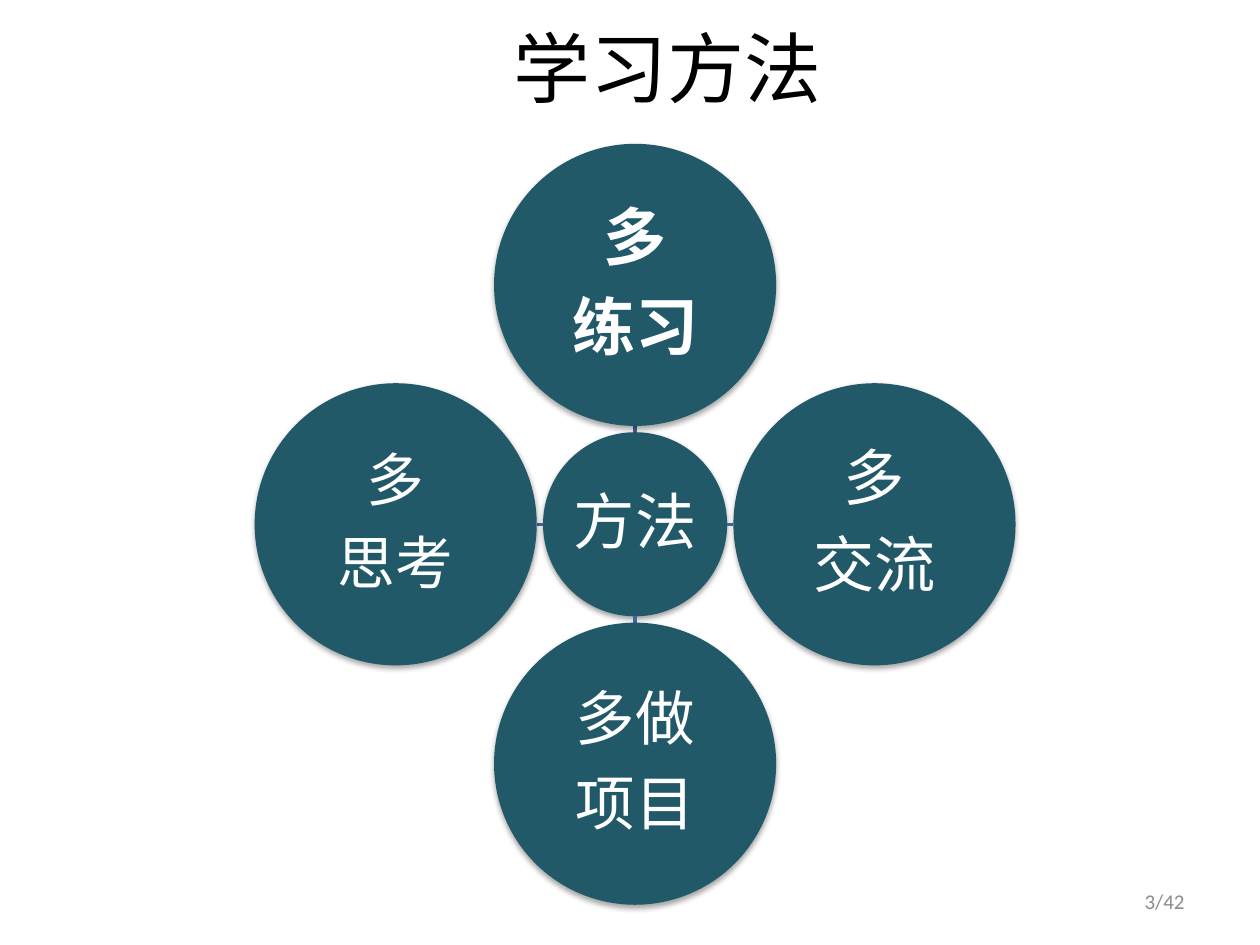
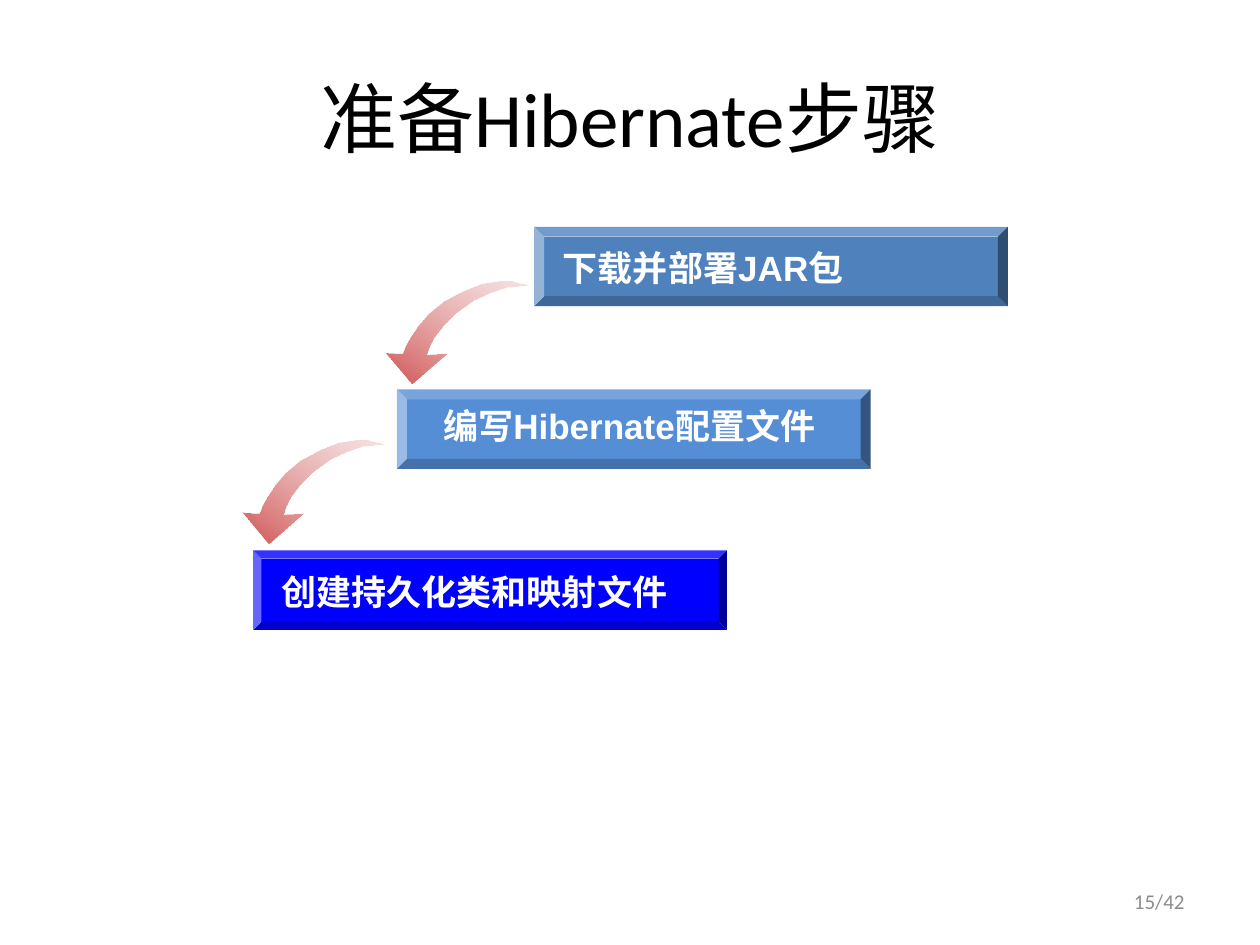
import dataclasses

import pptx
import pptx.dml.color
import pptx.enum.shapes
import pptx.enum.text
import pptx.oxml
import pptx.oxml.ns
import pptx.util

Pt = pptx.util.Pt
SHAPE = pptx.enum.shapes.MSO_SHAPE
ALIGN = pptx.enum.text.PP_ALIGN
ANCHOR = pptx.enum.text.MSO_ANCHOR


@dataclasses.dataclass(frozen=True)
class Theme:
    heading_font: str = "Calibri"
    label_font: str = "Arial"
    black: str = "000000"
    white: str = "FFFFFF"
    grey: str = "8C8C8C"
    teal: str = "215968"
    spoke: str = "3F6797"
    steps: tuple = ("4F81BD", "558ED5", "0000FF")
    arrow_pale: str = "E7A9A9"
    arrow_red: str = "D05656"
    title_size: int = 44
    label_size: int = 20
    footer_size: int = 12
    hub_size: int = 35


def color(code):
    return pptx.dml.color.RGBColor.from_string(code)


def add_xml(parent, tag, content="", attributes=""):
    namespace = pptx.oxml.ns.nsdecls("a")
    parent.append(pptx.oxml.parse_xml(f"<a:{tag} {namespace} {attributes}>{content}</a:{tag}>"))


def write_text(frame, text, *, font, size, ink, bold=False, align=ALIGN.CENTER,
               anchor=ANCHOR.TOP, wrap=True, inset=None, line_spacing=None, after_percent=None):
    frame.word_wrap = wrap
    frame.vertical_anchor = anchor
    if inset is not None:
        frame.margin_left = frame.margin_right = frame.margin_top = frame.margin_bottom = Pt(inset)
    for index, line in enumerate(text.split("\n")):
        para = frame.paragraphs[0] if index == 0 else frame.add_paragraph()
        para.alignment = align
        if line_spacing:
            para.line_spacing = line_spacing
        if after_percent:
            properties = para._p.get_or_add_pPr()
            add_xml(properties, "spcAft", f'<a:spcPct val="{after_percent * 1000}"/>')
        span = para.add_run()
        span.text = line
        span.font.name = font
        span.font.size = Pt(size)
        span.font.bold = bold
        span.font.color.rgb = color(ink)


class Painter:
    """Draws styled elements on the current slide."""

    def __init__(self, theme):
        self.theme = theme
        self.deck = pptx.Presentation()
        self.deck.slide_width, self.deck.slide_height = Pt(720), Pt(540)
        self.page = None

    def new_page(self, number):
        self.page = self.deck.slides.add_slide(self.deck.slide_layouts[6])
        self.text(f"{number}/42", 516, 500.5, 168, 28.8, font=self.theme.heading_font,
                  size=self.theme.footer_size, ink=self.theme.grey,
                  align=ALIGN.RIGHT, anchor=ANCHOR.MIDDLE)

    def text(self, text, left, top, width, height, **style):
        box = self.page.shapes.add_textbox(Pt(left), Pt(top), Pt(width), Pt(height))
        write_text(box.text_frame, text, **style)

    def title(self, text, left, top, height, anchor):
        self.text(text, left, top, 648, height, font=self.theme.heading_font,
                  size=self.theme.title_size, ink=self.theme.black, anchor=anchor)

    def shape(self, kind, left, top, width, height, fill):
        shape = self.page.shapes.add_shape(kind, Pt(left), Pt(top), Pt(width), Pt(height))
        shape.shadow.inherit = False
        shape.fill.solid()
        shape.fill.fore_color.rgb = color(fill)
        shape.line.fill.background()
        return shape

    def circle(self, text, center_x, center_y, radius, size, bold=False):
        circle = self.shape(SHAPE.OVAL, center_x - radius, center_y - radius,
                            2 * radius, 2 * radius, self.theme.teal)
        effects = circle._element.spPr.find(pptx.oxml.ns.qn("a:effectLst"))
        add_xml(effects, "outerShdw", '<a:srgbClr val="000000"><a:alpha val="35000"/></a:srgbClr>',
                f'blurRad="{Pt(3.1)}" dist="{Pt(1.8)}" dir="5400000" rotWithShape="0"')
        write_text(circle.text_frame, text, font=self.theme.heading_font, size=size,
                   ink=self.theme.white, bold=bold, anchor=ANCHOR.MIDDLE, wrap=False,
                   inset=1.5, line_spacing=0.9, after_percent=35)

    def spoke(self, start_x, start_y, end_x, end_y):
        spoke = self.page.shapes.add_connector(
            pptx.enum.shapes.MSO_CONNECTOR.STRAIGHT,
            Pt(start_x), Pt(start_y), Pt(end_x), Pt(end_y))
        spoke.line.color.rgb = color(self.theme.spoke)
        spoke.line.width = Pt(2)
        add_xml(spoke._element.spPr, "effectLst")

    def step(self, left, top, fill, bevel):
        step = self.shape(SHAPE.BEVEL, left, top, 270.7, 45.4, fill)
        step.adjustments[0] = bevel

    def step_label(self, text, left, top, width):
        self.text(text, left, top, width, 31.7, font=self.theme.label_font,
                  size=self.theme.label_size, ink=self.theme.white, bold=True)

    def curved_arrow(self, tail_x, tail_y):
        outline = [(Pt(tail_x + x), Pt(tail_y + y)) for x, y in ARROW_OUTLINE]
        builder = self.page.shapes.build_freeform(*outline[0], scale=1.0)
        builder.add_line_segments(outline[1:], close=True)
        arrow = builder.convert_to_shape()
        arrow.shadow.inherit = False
        arrow.line.fill.background()
        arrow.fill.gradient()
        arrow.fill.gradient_angle = 235
        pale, red = arrow.fill.gradient_stops
        pale.position, red.position = 0, 1
        pale.color.rgb = color(self.theme.arrow_pale)
        red.color.rgb = color(self.theme.arrow_red)
        pale_color = next(arrow._element.spPr.iter(pptx.oxml.ns.qn("a:srgbClr")))
        add_xml(pale_color, "alpha", attributes='val="32000"')


ARROW_OUTLINE = [
    (0, 0), (-3.6, -0.7), (-8.6, -0.7), (-15.8, 0), (-24.5, 2.9), (-33.8, 7.2),
    (-43.9, 14.4), (-51.1, 21.6), (-56.2, 28.1), (-59, 33.1), (-60.5, 38.2),
    (-49, 37.4), (-69.1, 54.7), (-84.2, 36.7), (-74.2, 37.4),
    (-72.7, 33.1), (-69.8, 28.1), (-65.5, 21.6), (-59.8, 15.1), (-51.1, 7.9),
    (-40.3, 2.2), (-29.5, -2.2), (-20.2, -3.6), (-12.2, -3.6), (-5.8, -2.2),
]


def draw_methods(painter):
    painter.new_page(3)
    painter.title("学习方法", 57.6, 8, 70.6, ANCHOR.TOP)
    hub_x, hub_y, hub_radius = 362.9, 299.6, 52.6
    petal_radius, orbit = 80.6, 136.8
    painter.circle("方法", hub_x, hub_y, hub_radius, painter.theme.hub_size)
    petals = [
        ("多\n练习", 0, -1, 36, True),
        ("多\n交流", 1, 0, 35, False),
        ("多做\n项目", 0, 1, 34, False),
        ("多\n思考", -1, 0, 33, False),
    ]
    reach = orbit - petal_radius
    for text, x, y, size, bold in petals:
        painter.spoke(hub_x + x * hub_radius, hub_y + y * hub_radius,
                      hub_x + x * reach, hub_y + y * reach)
        painter.circle(text, hub_x + x * orbit, hub_y + y * orbit, petal_radius, size, bold)


def draw_steps(painter):
    painter.new_page(15)
    painter.title("准备Hibernate步骤", 36, 21.6, 90, ANCHOR.MIDDLE)
    steps = [
        ("下载并部署JAR包", 305.3, 129.6, 0.126, 308.9, 137.5, 185.8),
        ("编写Hibernate配置文件", 226.8, 222.5, 0.126, 235.4, 227.5, 248.4),
        ("创建持久化类和映射文件", 144.7, 314.6, 0.104, 151.2, 322.6, 239.8),
    ]
    for fill, (text, left, top, bevel, *label) in zip(painter.theme.steps, steps):
        painter.step(left, top, fill, bevel)
        painter.step_label(text, *label)
    for index in range(2):
        painter.curved_arrow(304.6 - 82 * index, 164.2 + 91.4 * index)


def main():
    painter = Painter(Theme())
    draw_methods(painter)
    draw_steps(painter)
    painter.deck.save("out.pptx")


if __name__ == "__main__":
    main()
